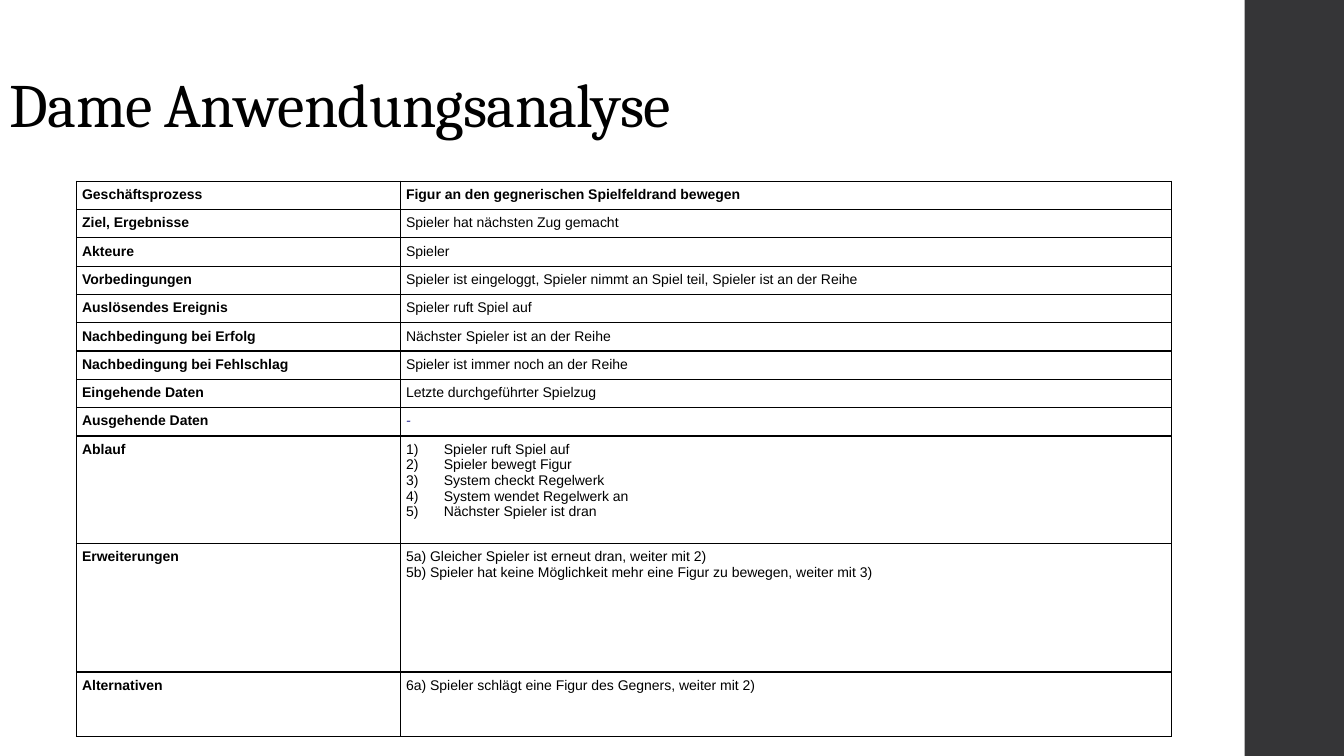
import pptx
import pptx.util
import pptx.oxml
import pptx.oxml.ns
import pptx.dml.color
import pptx.enum.shapes
import pptx.enum.text
import lxml.etree
from collections import namedtuple

Pt = pptx.util.Pt
Box = namedtuple("Box", "left top width height")

COLORS = {"text": "000000", "sidebar": "353537", "empty_mark": "333399", "border": "000000"}
COLUMN_WIDTHS = [231.4, 550.8]
LINE_ROW, STEPS_ROW, EXTENSIONS_ROW, ALTERNATIVES_ROW = 19.87, 76.6, 92, 45.9
CELL_INSET = 4.1

# label, lines of the value, row height
USE_CASE = [
    ("Geschäftsprozess", ["Figur an den gegnerischen Spielfeldrand bewegen"], LINE_ROW),
    ("Ziel, Ergebnisse", ["Spieler hat nächsten Zug gemacht"], LINE_ROW),
    ("Akteure", ["Spieler"], LINE_ROW),
    ("Vorbedingungen",
     ["Spieler ist eingeloggt, Spieler nimmt an Spiel teil, Spieler ist an der Reihe"], LINE_ROW),
    ("Auslösendes Ereignis", ["Spieler ruft Spiel auf"], LINE_ROW),
    ("Nachbedingung bei Erfolg", ["Nächster Spieler ist an der Reihe"], LINE_ROW),
    ("Nachbedingung bei Fehlschlag", ["Spieler ist immer noch an der Reihe"], LINE_ROW),
    ("Eingehende Daten", ["Letzte durchgeführter Spielzug"], LINE_ROW),
    ("Ausgehende Daten", ["-"], LINE_ROW),
    ("Ablauf", ["Spieler ruft Spiel auf", "Spieler bewegt Figur", "System checkt Regelwerk",
                "System wendet Regelwerk an", "Nächster Spieler ist dran"], STEPS_ROW),
    ("Erweiterungen",
     ["5a) Gleicher Spieler ist erneut dran, weiter mit 2)",
      "5b) Spieler hat keine Möglichkeit mehr eine Figur zu bewegen, weiter mit 3)"],
     EXTENSIONS_ROW),
    ("Alternativen", ["6a) Spieler schlägt eine Figur des Gegners, weiter mit 2)"],
     ALTERNATIVES_ROW),
]


def color(name):
    """Return the named colour."""
    return pptx.dml.color.RGBColor.from_string(COLORS[name])


def add_element(parent, tag, **attributes):
    """Append an XML element such as a:lnL and return it."""
    element = lxml.etree.SubElement(parent, pptx.oxml.ns.qn(tag))
    for name, value in attributes.items():
        element.set(name, str(value))
    return element


def set_font(para, name, size, ink="text", bold=False, italic=False):
    """Set the font of a whole paragraph."""
    font = para.font
    font.name, font.size, font.bold, font.italic = name, Pt(size), bold, italic
    font.color.rgb = color(ink)


def add_sidebar(page, box):
    """Draw the dark band filling the box."""
    band = page.shapes.add_shape(pptx.enum.shapes.MSO_SHAPE.RECTANGLE, *map(Pt, box))
    band.shadow.inherit = False
    band.fill.solid()
    band.fill.fore_color.rgb = color("sidebar")
    band.line.fill.background()


def add_title(page, box, text):
    """Write the title at the bottom of the box."""
    frame = page.shapes.add_textbox(*map(Pt, box)).text_frame
    frame.word_wrap = True
    frame.vertical_anchor = pptx.enum.text.MSO_ANCHOR.BOTTOM
    para = frame.paragraphs[0]
    para.line_spacing = 0.9
    span = para.add_run()
    span.text = text
    set_font(para, "Cambria", 44)
    span.font._element.set("spc", "-50")


def add_borders(cell):
    """Put a thin line on all four sides of a cell."""
    properties = cell._tc.get_or_add_tcPr()
    for side in ("a:lnL", "a:lnR", "a:lnT", "a:lnB"):
        line = add_element(properties, side, w=Pt(0.96))
        add_element(add_element(line, "a:solidFill"), "a:srgbClr", val=COLORS["border"])


def number_paragraph(para):
    """Give a paragraph a hanging number such as 1)."""
    properties = para._p.get_or_add_pPr()
    properties.set("marL", str(Pt(27)))
    properties.set("indent", str(Pt(-27)))
    number = add_element(properties, "a:buAutoNum", type="arabicParenR")
    defaults = properties.find(pptx.oxml.ns.qn("a:defRPr"))
    if defaults is not None:
        defaults.addprevious(number)


def fill_cell(cell, lines, bold=False, numbered=False):
    """Write the lines into a cell, one paragraph each."""
    cell.margin_left = cell.margin_right = Pt(CELL_INSET)
    cell.margin_top = cell.margin_bottom = Pt(CELL_INSET)
    add_borders(cell)
    cell.fill.background()
    cell.text = "\n".join(lines)
    empty = lines == ["-"]
    for para in cell.text_frame.paragraphs:
        set_font(para, "Arial", 10, "empty_mark" if empty else "text", bold, empty)
        if numbered:
            number_paragraph(para)


def add_use_case_table(page, box):
    """Build the two-column use case table in the box."""
    table = page.shapes.add_table(len(USE_CASE), len(COLUMN_WIDTHS), *map(Pt, box)).table
    table.first_row = table.horz_banding = False
    for column, width in zip(table.columns, COLUMN_WIDTHS):
        column.width = Pt(width)
    for index, (label, lines, height) in enumerate(USE_CASE):
        table.rows[index].height = Pt(height)
        fill_cell(table.cell(index, 0), [label], bold=True)
        fill_cell(table.cell(index, 1), lines, bold=index == 0, numbered=label == "Ablauf")


def add_analysis_page(deck, box):
    """Lay out the sidebar, title and table in the page box."""
    page = deck.slides.add_slide(deck.slide_layouts[6])
    add_sidebar(page, Box(box.left + box.width - 71, box.top, 71, box.height))
    add_title(page, Box(box.left, box.top, 763, 104.4), "Dame Anwendungsanalyse")
    add_use_case_table(page, Box(box.left + 54.6, box.top + 129.5, sum(COLUMN_WIDTHS),
                                 sum(height for _, _, height in USE_CASE)))


deck = pptx.Presentation()
deck.slide_width, deck.slide_height = Pt(960), Pt(540)
add_analysis_page(deck, Box(0, 0, 960, 540))
deck.save("out.pptx")
